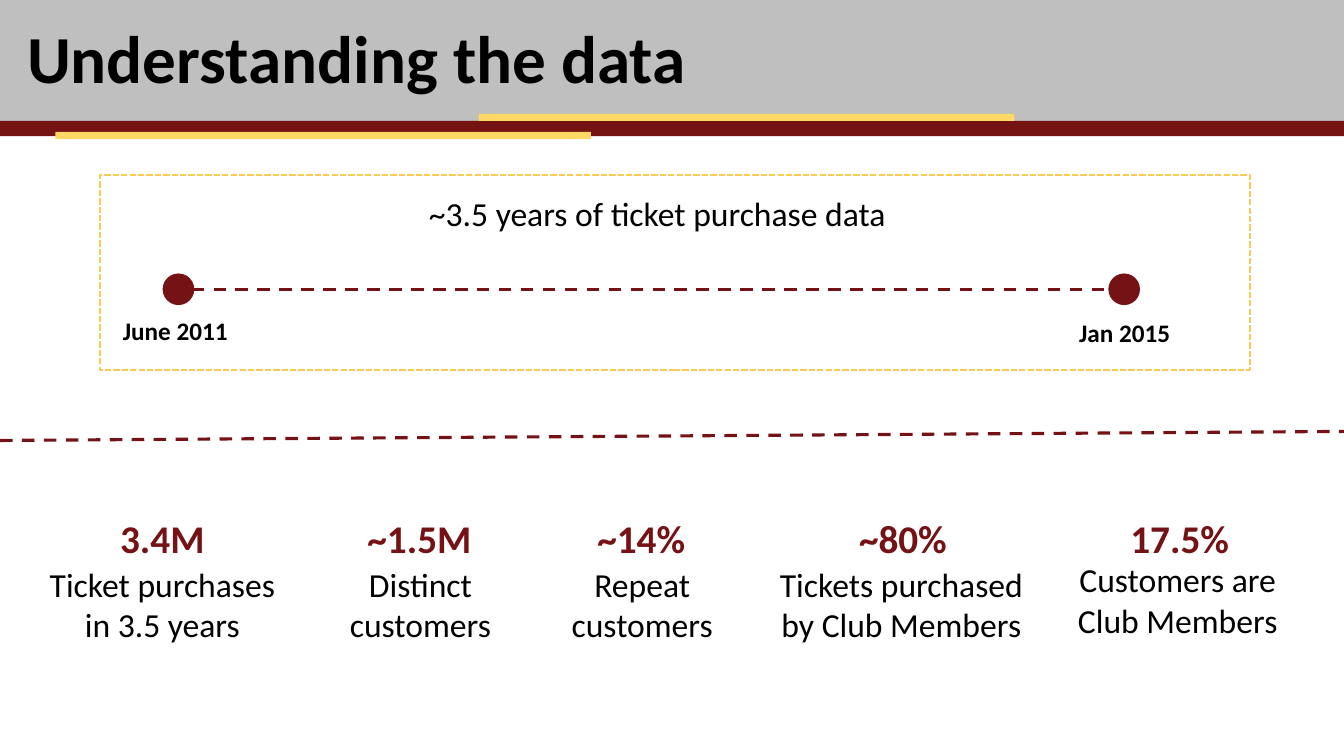
from lxml.etree import SubElement
from pptx import Presentation
from pptx.dml.color import RGBColor
from pptx.enum.dml import MSO_LINE
from pptx.enum.shapes import MSO_CONNECTOR, MSO_SHAPE
from pptx.enum.text import MSO_ANCHOR, PP_ALIGN
from pptx.oxml.ns import qn
from pptx.util import Inches, Pt

COLORS = {
    "black": "000000",
    "gray": "BFBFBF",
    "band": "751313",
    "maroon": "741215",
    "yellow": "FFD966",
    "frame": "F9CA55",
}
FORMATS = {
    "title": {"size": Pt(48), "bold": True},
    "date": {"size": Pt(18), "bold": True},
    "body": {"size": Pt(24), "bold": False},
    "figure": {"size": Pt(28), "bold": True},
}


def add_filled(shapes, kind, box, color):
    shape = shapes.add_shape(kind, *map(Inches, box))
    shape.shadow.inherit = False
    shape.fill.solid()
    shape.fill.fore_color.rgb = RGBColor.from_string(COLORS[color])
    shape.line.fill.background()
    return shape


def add_text(shapes, box, lines, style, color="black", align=PP_ALIGN.CENTER):
    """Add a wrapping text box with one paragraph per line of text."""
    shape = shapes.add_textbox(*map(Inches, box))
    frame = shape.text_frame
    frame.word_wrap = True
    frame.text = lines
    for paragraph in frame.paragraphs:
        paragraph.alignment = align
        font = paragraph.runs[0].font
        font.name = "Calibri"
        font.color.rgb = RGBColor.from_string(COLORS[color])
        for name, value in FORMATS[style].items():
            setattr(font, name, value)
    return shape


presentation = Presentation()
presentation.slide_width = Inches(13.33)
presentation.slide_height = Inches(7.5)
slide = presentation.slides.add_slide(presentation.slide_layouts[6])
shapes = slide.shapes

# Header
add_filled(shapes, MSO_SHAPE.RECTANGLE, (0, -0.03, 13.33, 1.23), "gray")
title = add_text(shapes, (0.17, -0.11, 11.5, 1.45), "Understanding the data",
                 "title", align=PP_ALIGN.LEFT)
title.text_frame.vertical_anchor = MSO_ANCHOR.MIDDLE
title.text_frame.paragraphs[0].line_spacing = 0.9

stripes = shapes.add_group_shape().shapes
for box, color in [
    ((-0.12, 1.2, 13.67, 0.15), "band"),
    ((0.55, 1.31, 5.31, 0.07), "yellow"),
    ((4.75, 1.13, 5.31, 0.07), "yellow"),
]:
    add_filled(stripes, MSO_SHAPE.RECTANGLE, box, color)

# Timeline
for left in (1.62, 11):
    dot = add_filled(shapes, MSO_SHAPE.OVAL, (left, 2.72, 0.3, 0.3), "maroon")
    dot.line.color.rgb = RGBColor.from_string(COLORS["maroon"])
    dot.line.width = Pt(1)

add_text(shapes, (1.12, 3.08, 1.29, 0.4), "June 2011", "date", align=PP_ALIGN.LEFT)
add_text(shapes, (10.51, 3.1, 1.29, 0.4), "Jan 2015", "date")
add_text(shapes, (4.08, 1.86, 4.88, 0.5), "~3.5 years of ticket purchase data", "body")

timeline_frame = add_filled(shapes, MSO_SHAPE.RECTANGLE, (0.99, 1.74, 11.41, 1.93), "frame")
timeline_frame.fill.background()
timeline_frame.line.color.rgb = RGBColor.from_string(COLORS["frame"])
timeline_frame.line.width = Pt(1.5)
timeline_frame.line.dash_style = MSO_LINE.SQUARE_DOT

# Divider and timeline line
for ends in [(0, 4.37, 13.33, 4.28), (1.9, 2.87, 11.12, 2.87)]:
    connector = shapes.add_connector(MSO_CONNECTOR.STRAIGHT, *map(Inches, ends))
    connector.line.color.rgb = RGBColor.from_string(COLORS["maroon"])
    connector.line.width = Pt(2.25)
    connector.line.dash_style = MSO_LINE.DASH
    SubElement(connector.element.spPr, qn("a:effectLst"))

# Statistics: figure, its left and width, caption, its left, top and width
for figure, figure_left, figure_width, caption, left, top, width in [
    ("3.4M", 0.99, 1.24, "Ticket purchases in 3.5 years", 0.27, 5.54, 2.68),
    ("~1.5M", 3.54, 1.24, "Distinct customers", 2.83, 5.54, 2.68),
    ("~14%", 5.74, 1.24, "Repeat\ncustomers", 5.03, 5.54, 2.68),
    ("~80%", 8.41, 1.09, "Tickets purchased by Club Members", 7.45, 5.54, 2.98),
    ("17.5%", 11.11, 1.18, "Customers are Club Members", 10.34, 5.5, 2.68),
]:
    statistic = shapes.add_group_shape().shapes
    add_text(statistic, (left, top, width, 0.91), caption, "body")
    add_text(statistic, (figure_left, 5.05, figure_width, 0.57), figure, "figure", "maroon")

presentation.save("out.pptx")
